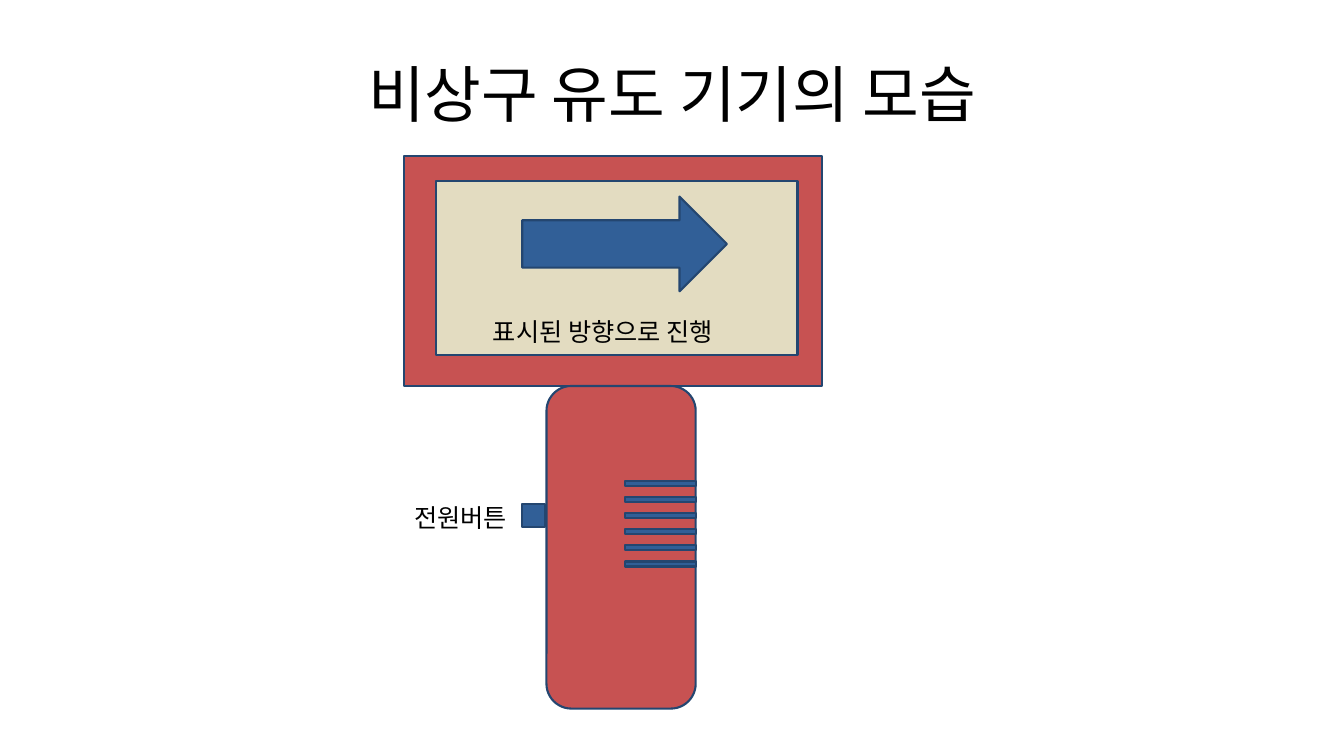
from dataclasses import dataclass

from lxml.etree import SubElement
from pptx import Presentation
from pptx.dml.color import RGBColor
from pptx.enum.shapes import MSO_SHAPE as Shape
from pptx.enum.text import MSO_ANCHOR as Anchor, MSO_AUTO_SIZE as AutoSize, PP_ALIGN as Align
from pptx.oxml.ns import qn
from pptx.util import Inches, Pt


@dataclass(frozen=True)
class Theme:
    font: str = "Noto Sans CJK KR"
    title_size: int = 44
    label_size: int = 18
    text: str = "000000"
    body: str = "C75252"
    screen: str = "E3DCC1"
    accent: str = "315F97"
    outline: str = "244670"
    line_width: float = 1.5


THEME = Theme()

TITLE = ("비상구 유도 기기의 모습", (0.67, 0.3, 12, 1.25))
DEVICE = [
    (Shape.RECTANGLE, (4.01, 1.55, 4.14, 2.28), THEME.body),
    (Shape.ROUNDED_RECTANGLE, (5.42, 3.83, 1.48, 3.2), THEME.body),
    (Shape.RECTANGLE, (4.32, 1.8, 3.59, 1.72), THEME.screen),
    (Shape.RECTANGLE, (5.18, 5, 0.23, 0.23), THEME.accent),
    (Shape.RIGHT_ARROW, (5.18, 1.95, 2.03, 0.94), THEME.accent),
]
LABELS = [
    ("표시된 방향으로 진행", (4.79, 3.09, 2.89, 0.4)),
    ("전원버튼", (4.01, 4.93, 1.25, 0.4)),
]
VENT_COUNT = 6
VENT_PITCH = 0.16
VENT_BOX = (6.2, 4.77, 0.7, 0.05)


def inches(box):
    return [Inches(v) for v in box]


def add_run(p, text, size):
    r = p.add_run()
    r.text = text
    r.font.size = Pt(size)
    r.font.color.rgb = RGBColor.from_string(THEME.text)
    r.font.name = THEME.font
    SubElement(r.font._element, qn("a:ea")).set("typeface", THEME.font)


def add_title(s, text, box):
    sp = s.shapes.title
    sp.left, sp.top, sp.width, sp.height = inches(box)
    tf = sp.text_frame
    tf.vertical_anchor = Anchor.MIDDLE
    p = tf.paragraphs[0]
    p.alignment = Align.CENTER
    add_run(p, text, THEME.title_size)


def add_part(s, kind, box, color):
    sp = s.shapes.add_shape(kind, *inches(box))
    sp.shadow.inherit = False
    sp.fill.solid()
    sp.fill.fore_color.rgb = RGBColor.from_string(color)
    sp.line.color.rgb = RGBColor.from_string(THEME.outline)
    sp.line.width = Pt(THEME.line_width)


def add_label(s, text, box):
    tf = s.shapes.add_textbox(*inches(box)).text_frame
    tf.word_wrap = True
    tf.auto_size = AutoSize.SHAPE_TO_FIT_TEXT
    add_run(tf.paragraphs[0], text, THEME.label_size)


def main():
    prs = Presentation()
    prs.slide_width, prs.slide_height = Inches(13.33), Inches(7.5)
    s = prs.slides.add_slide(prs.slide_layouts[5])
    add_title(s, *TITLE)
    for kind, box, color in DEVICE:
        add_part(s, kind, box, color)
    left, top, width, height = VENT_BOX
    for i in range(VENT_COUNT):
        add_part(s, Shape.RECTANGLE, (left, top + i * VENT_PITCH, width, height), THEME.accent)
    for text, box in LABELS:
        add_label(s, text, box)
    prs.save("out.pptx")


if __name__ == "__main__":
    main()
